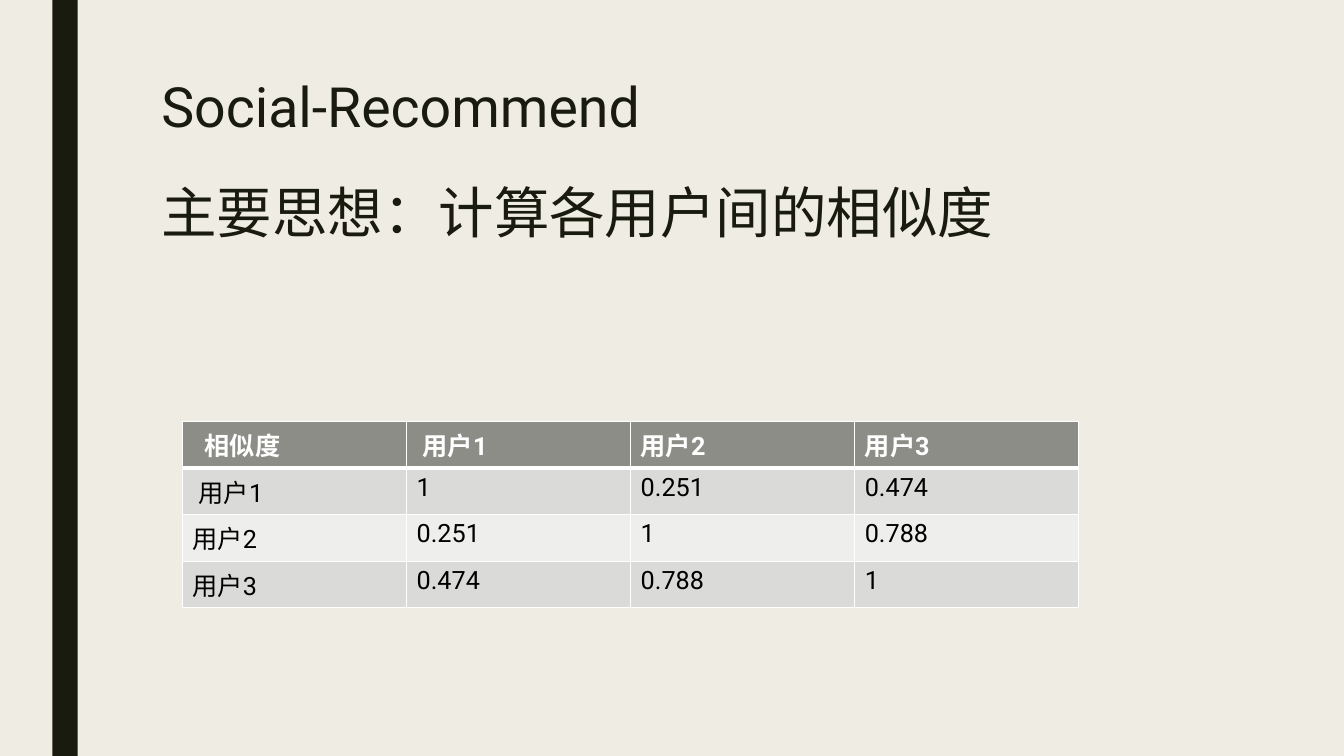
from lxml.etree import SubElement
from pptx import Presentation
from pptx.dml.color import RGBColor
from pptx.enum.shapes import MSO_SHAPE
from pptx.enum.text import MSO_ANCHOR, MSO_AUTO_SIZE, PP_ALIGN
from pptx.oxml.ns import qn
from pptx.util import Inches, Pt

WIDTH, HEIGHT = 13.33, 7.5
DARK, CREAM, WHITE, BLACK = "191B0E", "EFEDE3", "FFFFFF", "000000"
HEADER, BANDS = "8C8D86", ("DADBD9", "EEEEED")


def color(value):
    return RGBColor.from_string(value)


def write(para, text, size=18, ink=BLACK, bold=False, font="Roboto",
          spacing=1.0, before=0):
    para.alignment = PP_ALIGN.LEFT
    para.line_spacing = spacing
    para.space_before = Pt(before)
    span = para.add_run()
    span.text = text
    span.font.name = font
    span.font.size = Pt(size)
    span.font.bold = bold
    span.font.color.rgb = color(ink)


class Composer:
    def __init__(self, deck):
        self.page = deck.slides.add_slide(deck.slide_layouts[5])
        self.page.background.fill.solid()
        self.page.background.fill.fore_color.rgb = color(CREAM)
        self.width, self.height = deck.slide_width, deck.slide_height

    def area(self, left, top, width, height):
        return (round(left * self.width), round(top * self.height),
                round(width * self.width), round(height * self.height))

    def bar(self, area, fill):
        box = self.page.shapes.add_shape(MSO_SHAPE.RECTANGLE, *self.area(*area))
        box.shadow.inherit = False
        box.fill.solid()
        box.fill.fore_color.rgb = color(fill)
        box.line.fill.background()

    def title(self, area, lines, gap):
        box = self.page.shapes.title
        box.left, box.top, box.width, box.height = self.area(*area)
        frame = box.text_frame
        frame.word_wrap = True
        frame.auto_size = MSO_AUTO_SIZE.NONE
        frame.vertical_anchor = MSO_ANCHOR.TOP
        for index, line in enumerate(lines):
            para = frame.add_paragraph() if index else frame.paragraphs[0]
            write(para, line, size=39.6, ink=DARK, spacing=0.89,
                  before=gap if index else 0)

    def border(self, cell, bottom):
        properties = cell._tc.get_or_add_tcPr()
        for side, points in (("L", 1), ("R", 1), ("T", 1), ("B", bottom)):
            line = SubElement(properties, qn(f"a:ln{side}"), w=str(Pt(points)))
            fill = SubElement(line, qn("a:solidFill"))
            SubElement(fill, qn("a:srgbClr"), val=WHITE)

    def table(self, area, rows, indents):
        frame = self.page.shapes.add_table(len(rows), len(rows[0]), *self.area(*area))
        for row, values in enumerate(rows):
            heading = row == 0
            for column, value in enumerate(values):
                cell = frame.table.cell(row, column)
                cell.margin_left = Inches(0.1 + indents.get((row, column), 0))
                self.border(cell, 3 if heading else 1)
                cell.fill.solid()
                cell.fill.fore_color.rgb = color(
                    HEADER if heading else BANDS[(row - 1) % 2])
                write(cell.text_frame.paragraphs[0], value,
                      ink=WHITE if heading else BLACK, bold=heading)


deck = Presentation()
deck.slide_width, deck.slide_height = Inches(WIDTH), Inches(HEIGHT)
composer = Composer(deck)
composer.bar((0.52 / WIDTH, 0, 0.25 / WIDTH, 1), DARK)
composer.title((1.5 / WIDTH, 0.1, 10.5 / WIDTH, 1.62 / HEIGHT),
               ["Social-Recommend", "主要思想：计算各用户间的相似度"], gap=33)

users = ["用户1", "用户2", "用户3"]
similarity = [["1", "0.251", "0.474"],
              ["0.251", "1", "0.788"],
              ["0.474", "0.788", "1"]]
rows = [["相似度", *users]]
rows += [[user, *values] for user, values in zip(users, similarity)]
composer.table((1.81 / WIDTH, 4.18 / HEIGHT, 8.89 / WIDTH, 1.85 / HEIGHT), rows,
               indents={(0, 0): 0.12, (0, 1): 0.06, (1, 0): 0.06})

deck.save("out.pptx")
